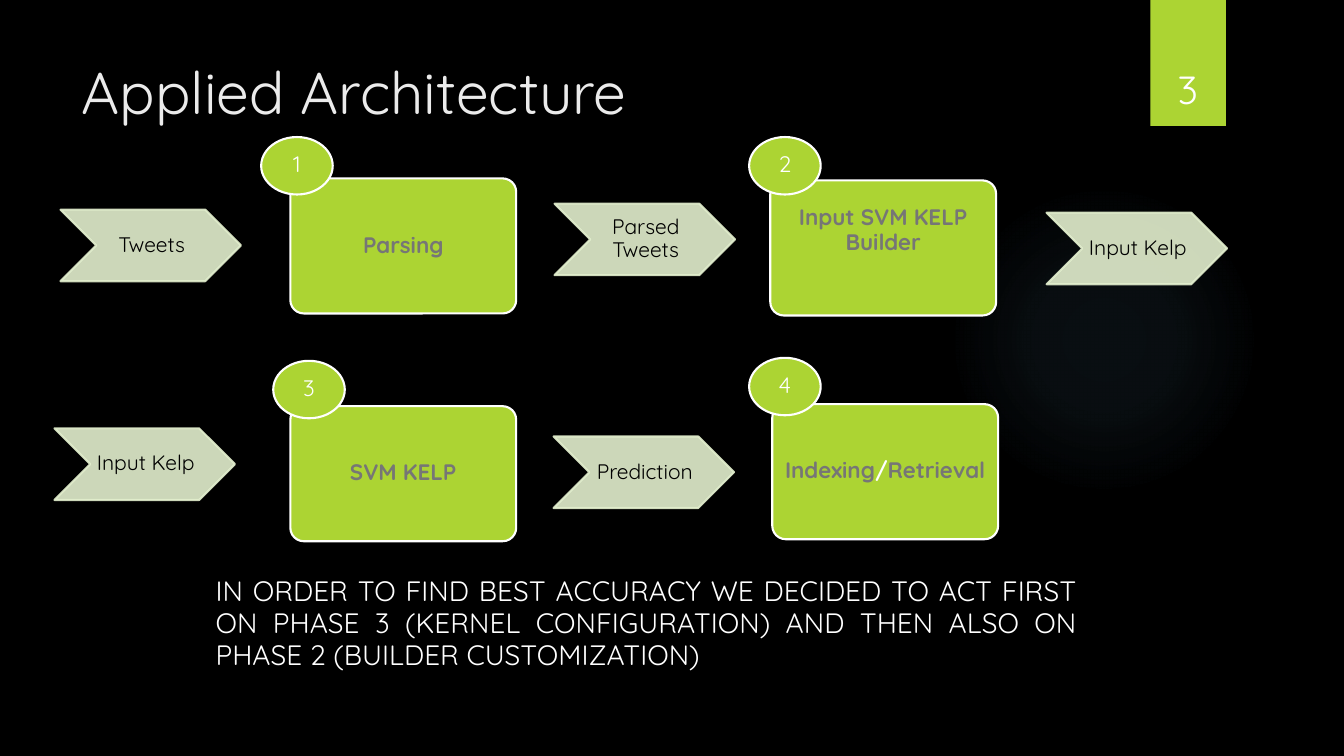
from dataclasses import dataclass

from lxml.etree import SubElement
from pptx import Presentation
from pptx.dml.color import RGBColor
from pptx.enum.shapes import MSO_SHAPE as Shape
from pptx.enum.text import MSO_ANCHOR as Anchor, MSO_AUTO_SIZE as AutoSize, PP_ALIGN as Align
from pptx.oxml import parse_xml
from pptx.oxml.ns import nsdecls, qn
from pptx.util import Inches, Pt


@dataclass(frozen=True)
class Theme:
    font: str = "Quicksand"
    background: str = "000000"
    accent: str = "ACD433"
    pale: str = "E3EFCE"
    glow: str = "7AC4F0"
    white: str = "FFFFFF"
    black: str = "000000"
    grey: str = "767676"
    title_color: str = "EBEBEB"
    title: int = 42
    number: int = 28
    body: int = 20
    step: int = 16
    flow: int = 15


def apply(target, values):
    for name, value in values.items():
        setattr(target, name, value)


class ArchitectureSlide:
    def __init__(self, deck, theme):
        self.theme = theme
        self.slide = deck.slides.add_slide(deck.slide_layouts[5])
        self.paint(self.slide.background.fill, theme.background)

    def paint(self, fill, color):
        fill.solid()
        fill.fore_color.rgb = RGBColor.from_string(color)

    def set_text(self, shape, runs, size, align=Align.CENTER, anchor=Anchor.MIDDLE,
                 insets=(0.1, 0.05, 0.1, 0.05), spacing=0.9, bold=False):
        """Fill a shape with one paragraph made of (text, color) runs."""
        frame = shape.text_frame
        left, top, right, bottom = map(Inches, insets)
        apply(frame, {"word_wrap": True, "auto_size": AutoSize.NONE, "vertical_anchor": anchor,
                      "margin_left": left, "margin_top": top,
                      "margin_right": right, "margin_bottom": bottom})
        paragraph = frame.paragraphs[0]
        apply(paragraph, {"alignment": align, "line_spacing": spacing})
        for text, color in runs:
            run = paragraph.add_run()
            run.text = text
            apply(run.font, {"name": self.theme.font, "size": Pt(size), "bold": bold})
            run.font.color.rgb = RGBColor.from_string(color)

    def block(self, kind, box, fill, outline=None):
        shape = self.slide.shapes.add_shape(kind, *map(Inches, box))
        shape.shadow.inherit = False
        self.paint(shape.fill, fill)
        if outline:
            self.paint(shape.line.fill, outline)
            shape.line.width = Pt(1.5)
        else:
            shape.line.fill.background()
        return shape

    def title(self, text, box):
        heading = self.slide.shapes.title
        apply(heading, dict(zip(("left", "top", "width", "height"), map(Inches, box))))
        self.set_text(heading, [(text, self.theme.title_color)], self.theme.title,
                      Align.LEFT, Anchor.TOP, spacing=1.0)

    def text(self, text, box, size, **style):
        label = self.slide.shapes.add_textbox(*map(Inches, box))
        self.set_text(label, [(text, self.theme.white)], size, **style)

    def glow(self, box):
        halo = self.block(Shape.OVAL, box, self.theme.glow)
        stops = "".join(
            f'<a:gs pos="{at * 1000}"><a:srgbClr val="{self.theme.glow}">'
            f'<a:alpha val="{alpha * 1000}"/></a:srgbClr></a:gs>'
            for at, alpha in ((0, 7), (36, 6), (69, 0), (100, 0)))
        gradient = parse_xml(
            f'<a:gradFill {nsdecls("a")}><a:gsLst>{stops}</a:gsLst><a:path path="circle">'
            '<a:fillToRect l="50000" t="50000" r="50000" b="50000"/></a:path></a:gradFill>')
        properties = halo.element.spPr
        properties.replace(properties.find(qn("a:solidFill")), gradient)

    def step(self, left, top, runs, bottom_inset=0.07):
        card = self.block(Shape.ROUNDED_RECTANGLE, (left, top, 2.24, 1.34),
                          self.theme.accent, self.theme.white)
        card.adjustments[0] = 0.1
        self.set_text(card, runs, self.theme.step, bold=True,
                      insets=(0.07, 0.07, 0.07, bottom_inset))

    def flow(self, left, top, text):
        arrow = self.block(Shape.CHEVRON, (left, top, 1.79, 0.71),
                           self.theme.pale, self.theme.pale)
        for color in arrow.element.spPr.iter(qn("a:srgbClr")):
            SubElement(color, qn("a:alpha")).set("val", "90000")
        self.set_text(arrow, [(text, self.theme.black)], self.theme.flow,
                      insets=(0.02, 0.01, 0, 0.01))

    def badge(self, left, top, number):
        circle = self.block(Shape.OVAL, (left, top, 0.71, 0.57),
                            self.theme.accent, self.theme.white)
        self.set_text(circle, [(str(number), self.theme.white)], self.theme.step,
                      insets=(0.02,) * 4)


def main():
    deck = Presentation()
    apply(deck, {"slide_width": Inches(13.33), "slide_height": Inches(7.5)})
    theme = Theme()
    page = ArchitectureSlide(deck, theme)

    # Backdrop, title and page number
    page.glow((9.41, 1.83, 3.08, 3.08))
    page.block(Shape.RECTANGLE, (11.41, 0, 0.75, 1.25), theme.accent)
    page.title("Applied Architecture", (0.71, 0.5, 10.29, 1.53))
    page.text("3", (11.32, 0.32, 0.92, 0.84), theme.number, anchor=Anchor.BOTTOM, spacing=1.0)

    # Processing steps
    page.step(2.88, 1.77, [("Parsing", theme.grey)])
    page.step(7.64, 1.79, [("Input SVM KELP Builder", theme.grey)], bottom_inset=0.41)
    page.step(2.88, 4.03, [("SVM KELP", theme.grey)])
    page.step(7.66, 4.01, [("Indexing", theme.grey), ("/", theme.white),
                           ("Retrieval", theme.grey)])

    # Data passed between the steps
    for left, top, data in ((0.6, 2.08, "Tweets"), (5.5, 2.02, "Parsed Tweets"),
                            (10.38, 2.11, "Input Kelp"), (0.54, 4.25, "Input Kelp"),
                            (5.49, 4.33, "Prediction")):
        page.flow(left, top, data)

    # Conclusion
    page.text("IN ORDER TO FIND BEST ACCURACY WE DECIDED TO ACT FIRST ON PHASE 3 "
              "(KERNEL CONFIGURATION) AND THEN ALSO ON PHASE 2 (BUILDER CUSTOMIZATION)",
              (2.04, 5.66, 8.74, 1.48), theme.body,
              align=Align.JUSTIFY, anchor=Anchor.TOP, spacing=0.96)

    # Step numbers
    corners = ((2.59, 1.36), (7.43, 1.36), (2.71, 3.58), (7.43, 3.55))
    for number, (left, top) in enumerate(corners, start=1):
        page.badge(left, top, number)

    deck.save("out.pptx")


if __name__ == "__main__":
    main()
